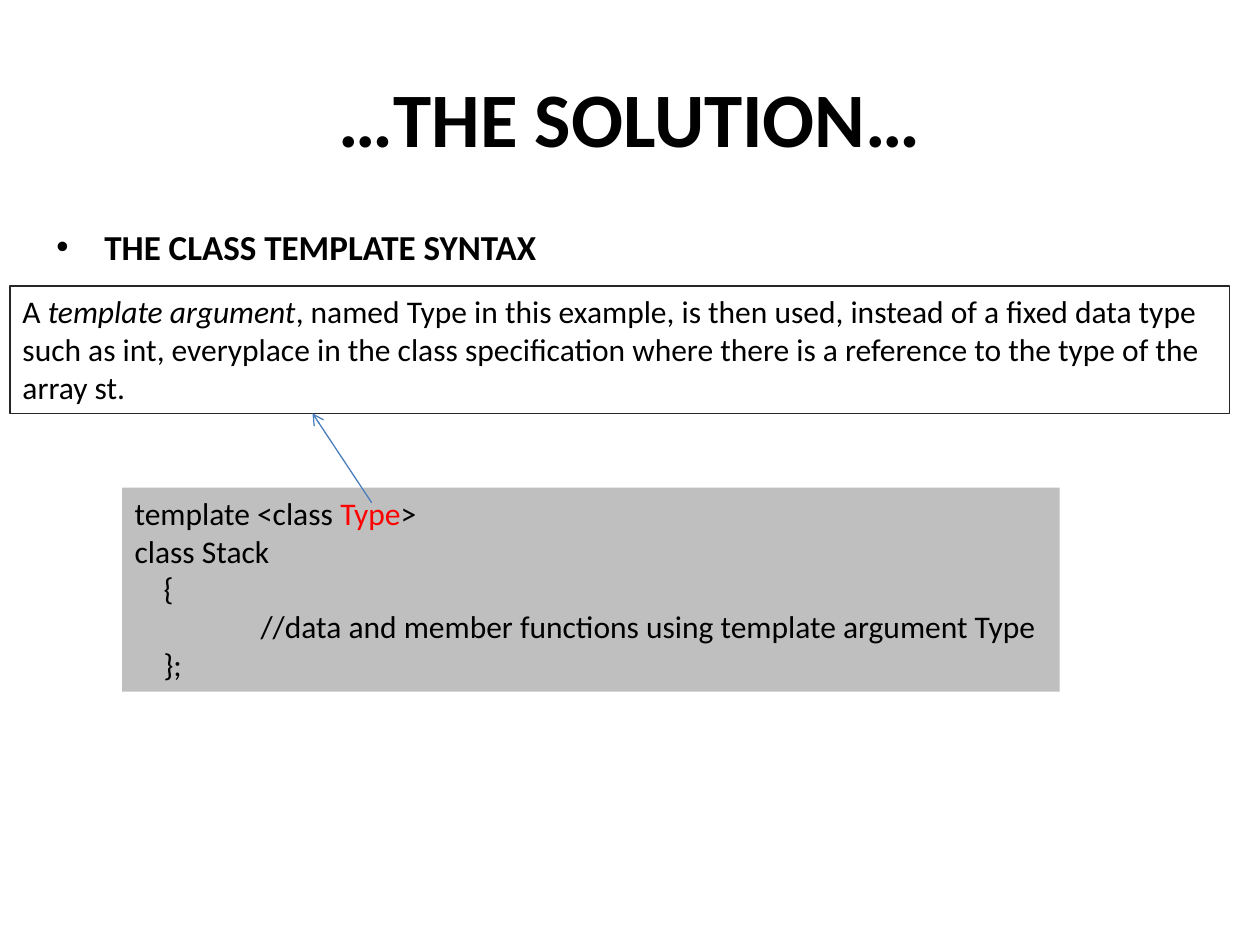
from lxml import etree
from pptx import Presentation
from pptx.dml.color import RGBColor
from pptx.enum.shapes import MSO_CONNECTOR, MSO_SHAPE
from pptx.enum.text import MSO_ANCHOR, MSO_AUTO_SIZE, PP_ALIGN
from pptx.oxml.ns import qn
from pptx.util import Inches, Pt

RECTANGLE, STRAIGHT = MSO_SHAPE.RECTANGLE, MSO_CONNECTOR.STRAIGHT
TOP, MIDDLE = MSO_ANCHOR.TOP, MSO_ANCHOR.MIDDLE
LEFT, CENTER = PP_ALIGN.LEFT, PP_ALIGN.CENTER
GROW = MSO_AUTO_SIZE.SHAPE_TO_FIT_TEXT

# Content: a line is (left indent in inches, spans); a span is (text, format)
TITLE = [(0, [("…THE SOLUTION…", {"bold": True})])]
HEADING = [(0.38, [("THE CLASS TEMPLATE SYNTAX", {"bold": True})])]
CODE = [
    (0, [("template <class ", {}), ("Type", {"color": "FF0000"}), (">", {})]),
    (0, [("class Stack", {})]),
    (0.23, [("{", {})]),
    (1, [("//data and member functions using template argument Type", {})]),
    (0.23, [("};", {})]),
]
NOTE = [
    (0, [("A ", {}), ("template argument", {"italic": True}),
         (", named Type in this example, is then used, instead of a fixed data type", {})]),
    (0, [("such as int, everyplace in the class specification where there is "
          "a reference to the type of the", {})]),
    (0, [("array st.", {})]),
]
BOXES = [
    {"at": (0.35, 1.74, 4.04, 0.44), "lines": HEADING, "size": 20, "bullet": "•"},
    {"at": (0.97, 3.87, 7.44, 1.62), "lines": CODE, "size": 18, "fill": "BFBFBF"},
    {"at": (0.08, 2.27, 9.68, 1.01), "lines": NOTE, "size": 18, "line": "262626"},
]
ARROW = (2.95, 3.99, 2.48, 3.28)


def color(value):
    return RGBColor.from_string(value)


def inches(values):
    return [Inches(value) for value in values]


def write(frame, lines, size, align=LEFT, bullet=None):
    for index, (indent, spans) in enumerate(lines):
        para = frame.add_paragraph() if index else frame.paragraphs[0]
        para.alignment = align
        properties = para._p.get_or_add_pPr()
        if indent:
            properties.set("marL", str(Inches(indent)))
        if bullet:
            properties.set("indent", str(-Inches(indent)))
            etree.SubElement(properties, qn("a:buFont"), typeface="Arial")
            etree.SubElement(properties, qn("a:buChar"), char=bullet)
        for text, style in spans:
            span = para.add_run()
            span.text = text
            values = {"name": "Calibri", "size": Pt(size), **style}
            span.font.color.rgb = color(values.pop("color", "000000"))
            for name, value in values.items():
                setattr(span.font, name, value)


def add_box(page, at, lines, size, bullet=None, fill=None, line=None):
    if fill or line:
        box = page.shapes.add_shape(RECTANGLE, *inches(at))
        box.shadow.inherit = False
    else:
        box = page.shapes.add_textbox(*inches(at))
    if fill:
        box.fill.solid()
        box.fill.fore_color.rgb = color(fill)
    else:
        box.fill.background()
    if line:
        box.line.color.rgb = color(line)
        box.line.width = Pt(0.75)
    else:
        box.line.fill.background()
    frame = box.text_frame
    frame.word_wrap = False
    frame.auto_size = GROW
    frame.vertical_anchor = TOP
    write(frame, lines, size, bullet=bullet)


deck = Presentation()
deck.slide_width, deck.slide_height = inches((10, 7.5))
page = deck.slides.add_slide(deck.slide_layouts[5])

# Title
title = page.shapes.title
title.left, title.top, title.width, title.height = inches((0.5, 0.3, 9, 1.25))
title.text_frame.vertical_anchor = MIDDLE
write(title.text_frame, TITLE, 44, CENTER)

# Heading, code and explanation
for box in BOXES:
    add_box(page, **box)

# Arrow from the type argument to its explanation
arrow = page.shapes.add_connector(STRAIGHT, *inches(ARROW))
arrow.line.color.rgb = color("4B7EBC")
arrow.line.width = Pt(0.75)
etree.SubElement(arrow.line._get_or_add_ln(), qn("a:tailEnd"), type="arrow")
etree.SubElement(arrow._element.spPr, qn("a:effectLst"))

deck.save("out.pptx")
